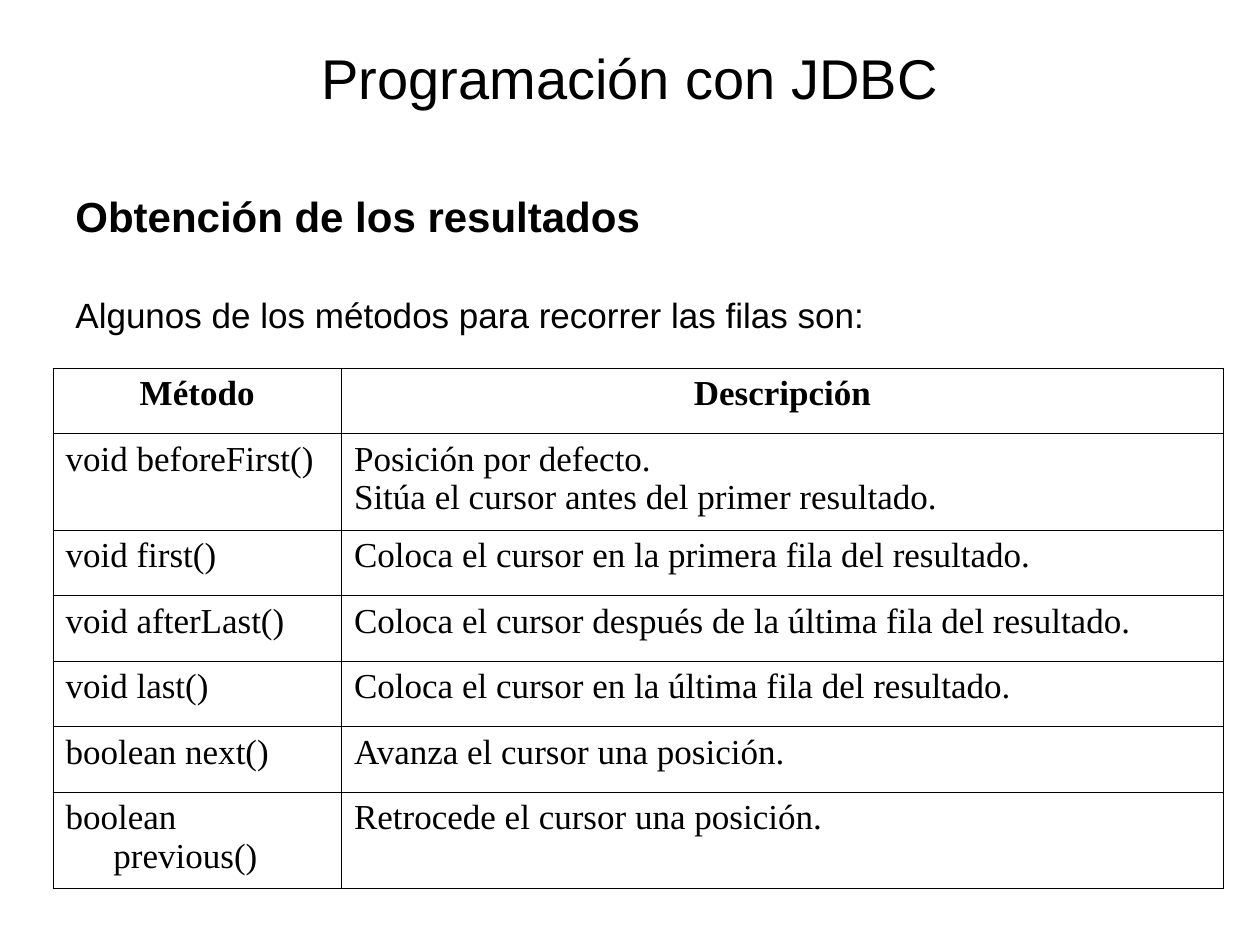
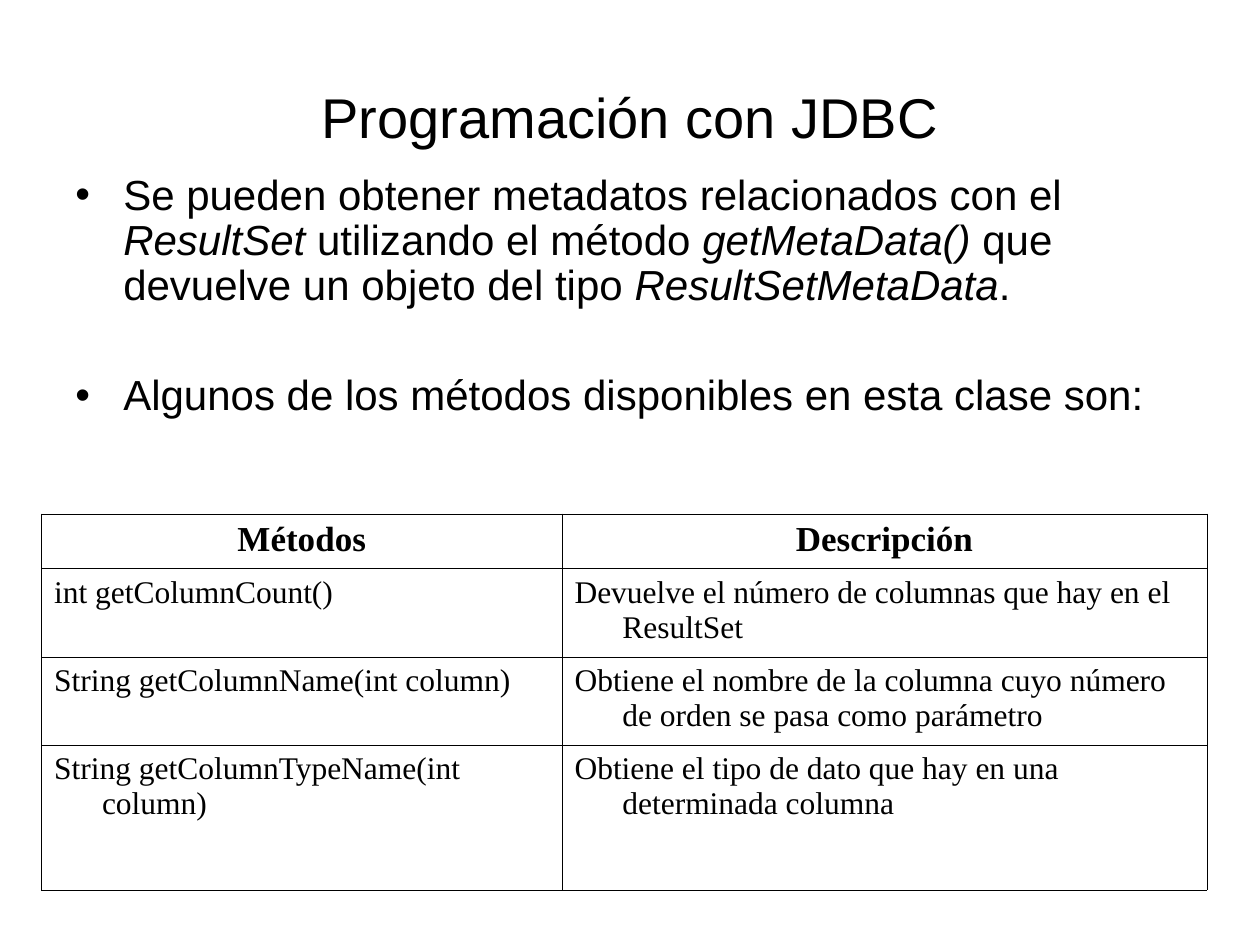
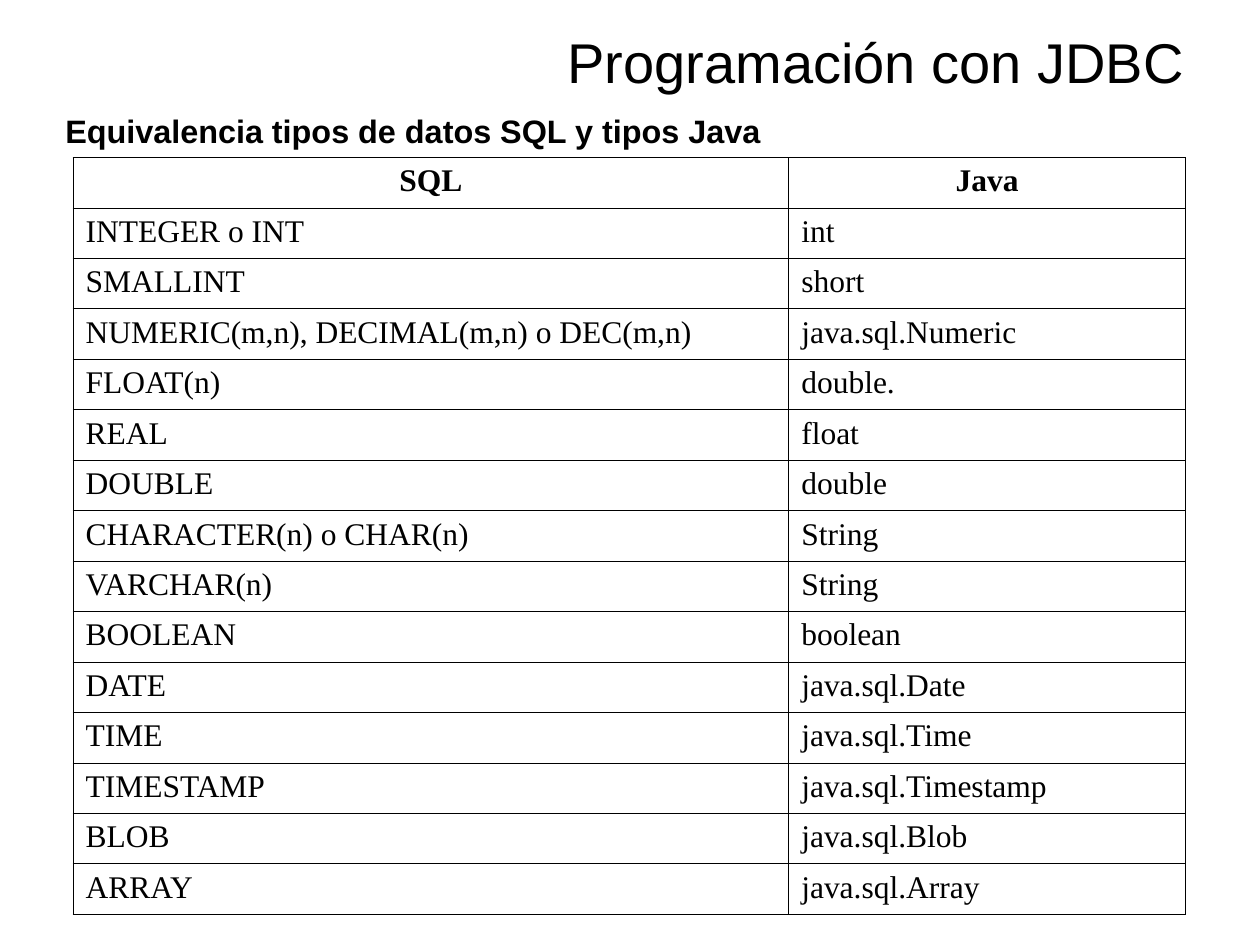
"""Builds three slides about JDBC result sets, metadata and type equivalences."""
from dataclasses import dataclass

import lxml.etree
import pptx
import pptx.dml.color
import pptx.enum.text
import pptx.oxml
import pptx.oxml.ns
import pptx.util

Inches = pptx.util.Inches
Pt = pptx.util.Pt
Align = pptx.enum.text.PP_ALIGN
Anchor = pptx.enum.text.MSO_ANCHOR

INK = "000000"
BODY_FONT = "Arial"
TABLE_FONT = "Times New Roman"
HANGING = Inches(0.38)
BORDER_WIDTH = Pt(0.45)
TITLE = "Programación con JDBC"


@dataclass(frozen=True)
class Span:
    """A stretch of text, upright or italic."""
    text: str
    italic: bool = False


@dataclass(frozen=True)
class Passage:
    """One body paragraph."""
    spans: tuple[Span, ...]
    size: float
    bold: bool = False
    bullet: bool = False
    space_before: float = 0


@dataclass(frozen=True)
class Heading:
    """Height and alignment of the slide title."""
    height: float
    align: Align = Align.CENTER


@dataclass(frozen=True)
class Body:
    """The text block between title and table."""
    box: tuple[float, float, float, float]
    passages: tuple[Passage, ...]
    line_spacing: float = 1.0
    top_inset: float = 0.05


@dataclass(frozen=True)
class Grid:
    """A two-column table whose first row is its header."""
    left: float
    top: float
    columns: tuple[float, ...]
    heights: tuple[float, ...]
    rows: tuple[tuple[str, str], ...]
    size: float
    header_size: float


@dataclass(frozen=True)
class Page:
    """The parts of one slide."""
    heading: Heading
    body: Body
    grid: Grid


CURSOR_METHODS = (
    ("Método", "Descripción"),
    ("void beforeFirst()", "Posición por defecto.\nSitúa el cursor antes del primer resultado."),
    ("void first()", "Coloca el cursor en la primera fila del resultado."),
    ("void afterLast()", "Coloca el cursor después de la última fila del resultado."),
    ("void last()", "Coloca el cursor en la última fila del resultado."),
    ("boolean next()", "Avanza el cursor una posición."),
    ("boolean previous()", "Retrocede el cursor una posición."),
)

METADATA_METHODS = (
    ("Métodos", "Descripción"),
    ("int getColumnCount()", "Devuelve el número de columnas que hay en el ResultSet"),
    ("String getColumnName(int column)",
     "Obtiene el nombre de la columna cuyo número de orden se pasa como parámetro"),
    ("String getColumnTypeName(int column)",
     "Obtiene el tipo de dato que hay en una determinada columna"),
)

TYPE_PAIRS = (
    ("SQL", "Java"),
    ("INTEGER o INT", "int"),
    ("SMALLINT", "short"),
    ("NUMERIC(m,n), DECIMAL(m,n) o DEC(m,n)", "java.sql.Numeric"),
    ("FLOAT(n)", "double."),
    ("REAL", "float"),
    ("DOUBLE", "double"),
    ("CHARACTER(n) o CHAR(n)", "String"),
    ("VARCHAR(n)", "String"),
    ("BOOLEAN", "boolean"),
    ("DATE", "java.sql.Date"),
    ("TIME", "java.sql.Time"),
    ("TIMESTAMP", "java.sql.Timestamp"),
    ("BLOB", "java.sql.Blob"),
    ("ARRAY", "java.sql.Array"),
)

METADATA_INTRO = (
    Span("Se pueden obtener metadatos relacionados con el "),
    Span("ResultSet", italic=True),
    Span(" utilizando el método "),
    Span("getMetaData()", italic=True),
    Span(" que devuelve un objeto del tipo "),
    Span("ResultSetMetaData", italic=True),
    Span("."),
)

PAGES = (
    Page(
        Heading(0.62),
        Body((0.5, 1.08, 8.08, 1.58), (
            Passage((Span("Obtención de los resultados"),), 24, bold=True),
            Passage((Span("Algunos de los métodos para recorrer las filas son:"),), 20,
                    space_before=35),
        ), line_spacing=0.8, top_inset=0.51),
        Grid(0.42, 2.92, (2.29, 7), (0.52, 0.73, 0.52, 0.52, 0.52, 0.52, 0.72),
             CURSOR_METHODS, 20, 20),
    ),
    Page(
        Heading(1.25),
        Body((0.5, 1.33, 8.92, 2.25), (
            Passage(METADATA_INTRO, 24, bullet=True),
            Passage((Span("Algunos de los métodos disponibles en esta clase son:"),), 24,
                    bullet=True, space_before=37),
        ), line_spacing=0.9),
        Grid(0.33, 4.08, (4.13, 5.12), (0.43, 0.7, 0.7, 1.15), METADATA_METHODS, 18, 20),
    ),
    Page(
        Heading(0.37, Align.RIGHT),
        Body((0.42, 0.83, 7.17, 0.42), (
            Passage((Span("Equivalencia tipos de datos SQL y tipos Java"),), 18.5, bold=True),
        )),
        Grid(0.58, 1.25, (5.68, 3.15), (0.4,) * len(TYPE_PAIRS), TYPE_PAIRS, 18, 18),
    ),
)


def color(value: str) -> pptx.dml.color.RGBColor:
    """Turn a hex string into a colour."""
    return pptx.dml.color.RGBColor.from_string(value)


def add_child(parent, tag: str, **attributes: str):
    """Append a DrawingML element to its parent."""
    return lxml.etree.SubElement(parent, pptx.oxml.ns.qn(tag), attributes)


def style_runs(paragraph, font: str, size: float, bold: bool = False) -> None:
    """Format every run of a paragraph."""
    for run in paragraph.runs:
        run.font.name = font
        run.font.size = Pt(size)
        run.font.bold = bold
        run.font.color.rgb = color(INK)


def hang(paragraph) -> None:
    """Indent all lines of a paragraph but the first."""
    properties = paragraph._p.get_or_add_pPr()
    properties.set("marL", str(HANGING))
    properties.set("indent", str(-HANGING))


def add_bullet(paragraph) -> None:
    """Give a paragraph a round bullet."""
    properties = paragraph._p.get_or_add_pPr()
    add_child(add_child(properties, "a:buClr"), "a:srgbClr", val=INK)
    add_child(properties, "a:buFont", typeface=BODY_FONT)
    add_child(properties, "a:buChar", char="•")


def add_frame(slide, box: tuple[float, float, float, float]):
    """Add a wrapping text box and return its text frame."""
    frame = slide.shapes.add_textbox(*map(Inches, box)).text_frame
    frame.word_wrap = True
    return frame


def draw_heading(slide, heading: Heading) -> None:
    """Draw the slide title."""
    frame = add_frame(slide, (0.5, 0.3, 9, heading.height))
    frame.vertical_anchor = Anchor.MIDDLE
    frame.text = TITLE
    frame.paragraphs[0].alignment = heading.align
    style_runs(frame.paragraphs[0], BODY_FONT, 32)


def draw_body(slide, body: Body) -> None:
    """Draw the paragraphs above the table."""
    frame = add_frame(slide, body.box)
    frame.margin_top = Inches(body.top_inset)
    for index, passage in enumerate(body.passages):
        paragraph = frame.add_paragraph() if index else frame.paragraphs[0]
        hang(paragraph)
        if passage.bullet:
            add_bullet(paragraph)
        paragraph.line_spacing = body.line_spacing
        paragraph.space_before = Pt(passage.space_before)
        for span in passage.spans:
            run = paragraph.add_run()
            run.text = span.text
            run.font.italic = span.italic
        style_runs(paragraph, BODY_FONT, passage.size, passage.bold)


def outline_cell(cell) -> None:
    """Clear the fill of a cell and draw its four borders."""
    cell.fill.background()
    properties = cell._tc.get_or_add_tcPr()
    for position, side in enumerate(("a:lnL", "a:lnR", "a:lnT", "a:lnB")):
        line = add_child(properties, side, w=str(BORDER_WIDTH))
        add_child(add_child(line, "a:solidFill"), "a:srgbClr", val=INK)
        properties.insert(position, line)


def draw_grid(slide, grid: Grid) -> None:
    """Draw a bordered table with a bold centred header."""
    table = slide.shapes.add_table(
        len(grid.rows), len(grid.columns), Inches(grid.left), Inches(grid.top),
        Inches(sum(grid.columns)), Inches(sum(grid.heights))).table
    table.first_row = table.horz_banding = False
    for column, width in zip(table.columns, grid.columns):
        column.width = Inches(width)
    for index, (row, height, texts) in enumerate(zip(table.rows, grid.heights, grid.rows)):
        row.height = Inches(height)
        is_header = index == 0
        for cell, text in zip(row.cells, texts):
            outline_cell(cell)
            cell.text_frame.text = text
            for paragraph in cell.text_frame.paragraphs:
                hang(paragraph)
                paragraph.alignment = Align.CENTER if is_header else Align.LEFT
                style_runs(paragraph, TABLE_FONT,
                           grid.header_size if is_header else grid.size, is_header)


def main() -> None:
    """Build and save the presentation."""
    deck = pptx.Presentation()
    deck.slide_width, deck.slide_height = Inches(10), Inches(7.5)
    for page in PAGES:
        slide = deck.slides.add_slide(deck.slide_layouts[6])
        draw_heading(slide, page.heading)
        draw_body(slide, page.body)
        draw_grid(slide, page.grid)
    deck.save("out.pptx")


if __name__ == "__main__":
    main()
